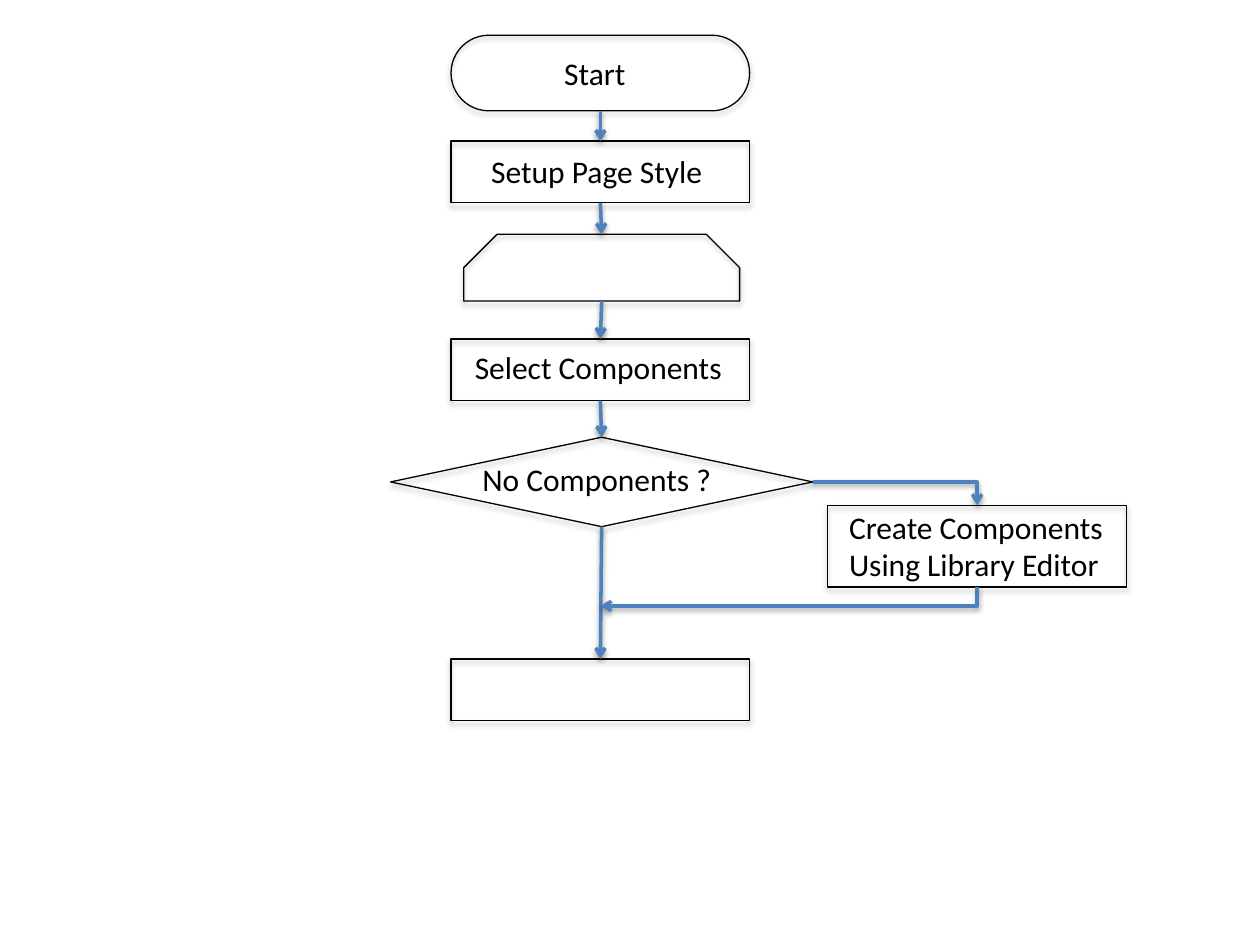
from lxml.etree import SubElement
from pptx import Presentation
from pptx.dml.color import RGBColor
from pptx.enum.shapes import MSO_CONNECTOR, MSO_SHAPE
from pptx.enum.text import MSO_AUTO_SIZE
from pptx.oxml.ns import qn
from pptx.util import Inches, Pt

TOP, LEFT, BOTTOM, RIGHT = range(4)
BLACK, BLUE = "000000", "4F81BD"
TEXT_FORMAT = {"name": "Calibri", "size": Pt(18)}
STEP_LEFT, STEP_WIDTH, STEP_HEIGHT = 3.58, 2.37, 0.49


def colour(value):
    return RGBColor.from_string(value)


def add_shadow(effects, distance, opacity):
    """Add a soft downward shadow to an effect list; opacity in percent."""
    shadow = SubElement(effects, qn("a:outerShdw"), blurRad=str(Pt(3.1)),
                        dist=str(Pt(distance)), dir="5400000", rotWithShape="0")
    black = SubElement(shadow, qn("a:srgbClr"), val=BLACK)
    SubElement(black, qn("a:alpha"), val=str(opacity * 1000))


def add_label(shapes, lines, box):
    frame = shapes.add_textbox(*map(Inches, box)).text_frame
    frame.word_wrap = True
    frame.auto_size = MSO_AUTO_SIZE.SHAPE_TO_FIT_TEXT
    frame.text = "\n".join(lines)
    for paragraph in frame.paragraphs:
        for name, value in TEXT_FORMAT.items():
            setattr(paragraph.font, name, value)
        paragraph.font.color.rgb = colour(BLACK)


def add_step(slide, kind, box, lines=(), label=None, adjustments=()):
    """Add an outlined step; label is its text box relative to the step."""
    shapes = slide.shapes.add_group_shape().shapes if lines else slide.shapes
    shape = shapes.add_shape(kind, *map(Inches, box))
    for index, value in enumerate(adjustments):
        shape.adjustments[index] = value
    shape.fill.background()
    shape.line.color.rgb = colour(BLACK)
    shape.line.width = Pt(0.75)
    shape.shadow.inherit = False
    add_shadow(shape._element.spPr.find(qn("a:effectLst")), 1.8, 35)
    if lines:
        dx, dy, width, height = label
        add_label(shapes, lines, (box[0] + dx, box[1] + dy, width, height))
    return shape


def add_arrow(slide, kind, points=(0, 0, 0, 0)):
    connector = slide.shapes.add_connector(kind, *map(Inches, points))
    connector.line.color.rgb = colour(BLUE)
    connector.line.width = Pt(2)
    properties = connector._element.spPr
    SubElement(properties.find(qn("a:ln")), qn("a:tailEnd"), type="arrow")
    add_shadow(SubElement(properties, qn("a:effectLst")), 1.6, 38)
    if kind == MSO_CONNECTOR.ELBOW:
        properties.find(qn("a:prstGeom")).set("prst", "bentConnector2")
    return connector


def join(connector, source, source_side, target, target_side):
    connector.begin_connect(source, source_side)
    connector.end_connect(target, target_side)


def add_return_arrow(slide, start_x, start_y, end_x, end_y):
    """Add an arrow that runs down and then left."""
    width, height = end_y - start_y, start_x - end_x
    left = (start_x + end_x - width) / 2
    top = (start_y + end_y - height) / 2
    connector = add_arrow(slide, MSO_CONNECTOR.ELBOW,
                          (left, top, left + width, top + height))
    connector._element.spPr.find(qn("a:xfrm")).set("rot", "5400000")


def add_main_flow(slide):
    """Add the column of steps and return its decision."""
    def step_box(top, height=STEP_HEIGHT):
        return STEP_LEFT, top, STEP_WIDTH, height

    start = add_step(slide, MSO_SHAPE.ROUNDED_RECTANGLE, step_box(0.28, 0.6),
                     ["Start"], (0.8, 0.1, 0.8, 0.4), [0.5])
    setup = add_step(slide, MSO_SHAPE.RECTANGLE, step_box(1.12),
                     ["Setup Page Style"], (0.22, 0.04, 1.92, 0.4))
    loop = add_step(slide, MSO_SHAPE.SNIP_2_SAME_RECTANGLE,
                    (3.68, 1.86, 2.19, 0.53), adjustments=[0.5, 0])
    select = add_step(slide, MSO_SHAPE.RECTANGLE, step_box(2.69),
                      ["Select Components"], (0.09, 0.02, 2.3, 0.4))
    decision = add_step(slide, MSO_SHAPE.DIAMOND, (3.1, 3.47, 3.35, 0.71),
                        ["No Components ?"], (0.63, 0.13, 2.1, 0.4))
    last = add_step(slide, MSO_SHAPE.RECTANGLE, step_box(5.23))

    steps = [start, setup, loop, select, decision, last]
    for source, target in zip(steps, steps[1:]):
        arrow = add_arrow(slide, MSO_CONNECTOR.STRAIGHT)
        # The snipped rectangle counts its sides from the right, clockwise.
        source_side = 1 if source is loop else BOTTOM
        target_side = 3 if target is loop else TOP
        join(arrow, source, source_side, target, target_side)
        arrow.begin_x = source.left + source.width // 2
        arrow.begin_y = source.top + source.height
        arrow.end_x = target.left + target.width // 2
        arrow.end_y = target.top
    return decision


def add_side_branch(slide, decision, box):
    """Add the step beside the decision and the arrows out and back."""
    left, top, width, height = box
    create = add_step(slide, MSO_SHAPE.RECTANGLE, box,
                      ["Create Components", "Using Library Editor"],
                      (0.07, -0.03, 2.3, 0.71))
    join(add_arrow(slide, MSO_CONNECTOR.ELBOW), decision, RIGHT, create, TOP)
    bottom = top + height
    add_return_arrow(slide, left + width / 2, bottom,
                     STEP_LEFT + STEP_WIDTH / 2, bottom + 0.15)


def main():
    presentation = Presentation()
    presentation.slide_width, presentation.slide_height = Inches(10), Inches(7.5)
    slide = presentation.slides.add_slide(presentation.slide_layouts[6])
    decision = add_main_flow(slide)
    add_side_branch(slide, decision, (6.57, 4.01, STEP_WIDTH, 0.65))
    presentation.save("out.pptx")


if __name__ == "__main__":
    main()
